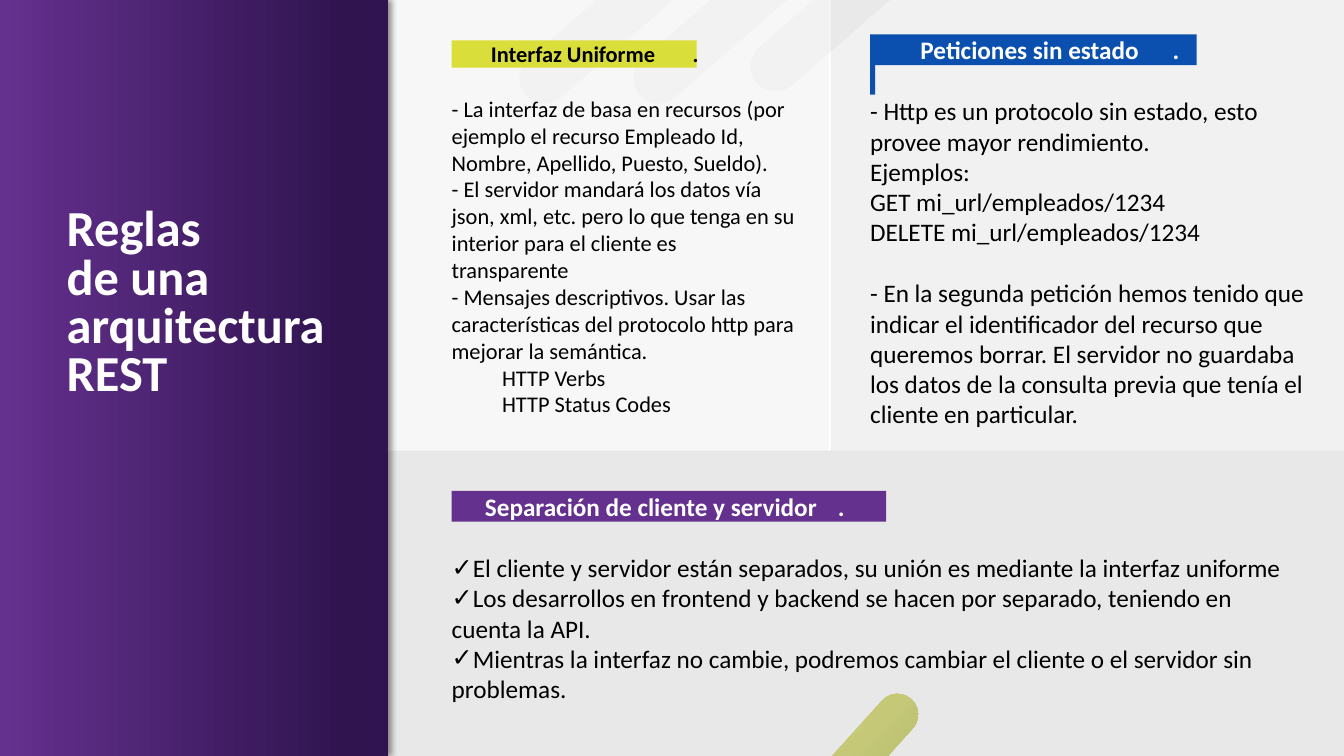
from lxml.etree import SubElement
from pptx import Presentation
from pptx.dml.color import RGBColor
from pptx.enum.shapes import MSO_SHAPE as SHAPE
from pptx.enum.text import MSO_ANCHOR as ANCHOR, MSO_AUTO_SIZE as AUTO_SIZE, PP_ALIGN as ALIGN
from pptx.oxml import parse_xml
from pptx.oxml.ns import nsdecls, qn
from pptx.util import Inches, Pt

WIDTH, HEIGHT = 13.33, 7.5
SIDE, SPLIT, FLOOR = 3.85, 8.24, 4.47  # sidebar edge, column edge, row edge
FONT = "Calibri"
COLORS = {
    "black": "000000", "white": "FFFFFF", "pill": "D9D9D9", "pale": "F2F2F2",
    "grey": "D0CECE", "yellow": "DADE3A", "blue": "0B50AE", "purple": "65318F",
    "night": "301450", "lime": "D9DE3A", "olive": "86971B",
}


def add_block(slide, box, color, kind=SHAPE.RECTANGLE, alpha=100, rotation=0):
    block = slide.shapes.add_shape(kind, *map(Inches, box))
    block.shadow.inherit = False
    block.line.fill.background()
    block.fill.solid()
    block.fill.fore_color.rgb = RGBColor.from_string(COLORS[color])
    block.rotation = rotation
    if alpha < 100:
        rgb = block._element.spPr.find(".//" + qn("a:srgbClr"))
        SubElement(rgb, qn("a:alpha"), val=str(alpha * 1000))
    return block


def set_gradient(block, stops, direction):
    """Replace the solid fill; stops are (percent, colour name)."""
    marks = "".join(
        f'<a:gs pos="{percent * 1000}"><a:srgbClr val="{COLORS[color]}"/></a:gs>'
        for percent, color in stops)
    solid = block._element.spPr.find(qn("a:solidFill"))
    solid.getparent().replace(solid, parse_xml(
        f'<a:gradFill {nsdecls("a")} rotWithShape="1"><a:gsLst>{marks}</a:gsLst>'
        f"{direction}</a:gradFill>"))


def set_frame(holder, anchor=ANCHOR.TOP, margins=(0.1, 0.05, 0.1, 0.05), wrap=True):
    frame = holder.text_frame
    frame.word_wrap = wrap
    frame.auto_size = AUTO_SIZE.NONE
    frame.vertical_anchor = anchor
    (frame.margin_left, frame.margin_top,
     frame.margin_right, frame.margin_bottom) = map(Inches, margins)
    return frame


def write(frame, text, size=18, color="black", bold=False, spacing=1.0,
          before=0, indent=0, bullet=None, tab=None):
    """Fill the first paragraph, or add one when it is already used."""
    first = frame.paragraphs[0]
    paragraph = frame.add_paragraph() if first.runs else first
    paragraph.alignment = ALIGN.LEFT
    paragraph.line_spacing = spacing
    paragraph.space_before, paragraph.space_after = Pt(before), Pt(0)
    props = paragraph._p.get_or_add_pPr()
    props.set("marL", str(Inches(indent)))
    props.set("indent", "0")
    if bullet:
        SubElement(props, qn("a:buFont"), typeface="Arial")
        SubElement(props, qn("a:buChar"), char=bullet)
    else:
        SubElement(props, qn("a:buNone"))
    if tab:
        tabs = SubElement(props, qn("a:tabLst"))
        SubElement(tabs, qn("a:tab"), pos=str(Inches(tab)), algn="l")
    run = paragraph.add_run()
    run.text = text
    run.font.name, run.font.size, run.font.bold = FONT, Pt(size), bold
    run.font.color.rgb = RGBColor.from_string(COLORS[color])


def place(slide, holder, box):
    """Move a placeholder to its box, in front of the panels."""
    holder.left, holder.top, holder.width, holder.height = map(Inches, box)
    slide.shapes._spTree.append(holder._element)


def draw_backdrop(slide):
    for left, top in ((6.65, -2.76), (7.78, -2.76), (8.94, -2.88)):
        pill = add_block(slide, (left, top, 0.5, 4.47), "pill",
                         SHAPE.ROUNDED_RECTANGLE, alpha=28, rotation=229)
        pill.adjustments[0] = 0.5
    accent = add_block(slide, (8.01, 6.62, 0.41, 2.46), "lime",
                       SHAPE.ROUNDED_RECTANGLE, rotation=42)
    accent.adjustments[0] = 0.5
    set_gradient(accent, ((0, "olive"), (86, "lime")),
                 '<a:path path="circle"><a:fillToRect l="100000" t="100000"/></a:path>')
    add_block(slide, (SIDE, 0, SPLIT - SIDE - 0.02, FLOOR), "pale", alpha=60)
    add_block(slide, (SPLIT, 0, WIDTH - SPLIT, FLOOR), "grey", alpha=27)
    add_block(slide, (SIDE, FLOOR, WIDTH - SIDE, HEIGHT - FLOOR), "grey", alpha=46)


def draw_sidebar(slide, box):
    sidebar = add_block(slide, box, "purple")
    set_gradient(sidebar, ((12, "night"), (100, "purple")),
                 '<a:lin ang="10800000" scaled="0"/>')
    effects = sidebar._element.spPr.find(qn("a:effectLst"))
    shadow = SubElement(effects, qn("a:outerShdw"), blurRad=str(Pt(4)),
                        dist=str(Pt(3)), dir="0", algn="l", rotWithShape="0")
    tint = SubElement(shadow, qn("a:srgbClr"), val=COLORS["black"])
    SubElement(tint, qn("a:alpha"), val="41000")

    left, top, width, _ = box
    title = slide.shapes.title
    place(slide, title, (left + 0.56, top + 1.91, width - 0.8, 2.23))
    frame = set_frame(title, ANCHOR.MIDDLE)
    for line in ("Reglas", "de una", "arquitectura", "REST"):
        write(frame, line, size=36, color="white", bold=True, spacing=0.8)


def draw_rule(slide, box, holder, heading, band, rules, size=18, right=0.1):
    """Heading band, then a list of (text, format) two lines below it."""
    left, top, width, height = box
    color, ink, band_width, indent, dot = band
    line = size * 1.22 / 72
    label = add_block(slide, (left + 0.1, top + 0.05, band_width, line), color)
    write(set_frame(label, ANCHOR.MIDDLE, (0, 0, 0, 0), wrap=False),
          f"{heading}\t.", size=size, color=ink, bold=True, indent=indent, tab=dot)
    body_top = 0.05 + 2 * line
    place(slide, holder, (left, top + body_top, width, height - body_top))
    frame = set_frame(holder, margins=(0.1, 0, right, 0))
    for text, style in rules:
        write(frame, text, size=size, **style)


def build_rules_slide(deck):
    slide = deck.slides.add_slide(deck.slide_layouts[4])
    holders = {holder.placeholder_format.idx: holder for holder in slide.placeholders}
    spare = holders[4]._element
    spare.getparent().remove(spare)
    draw_backdrop(slide)
    draw_sidebar(slide, (0, 0, SIDE, HEIGHT))
    draw_rule(
        slide, (4.38, 0.35, 3.62, 3.87), holders[1], "Interfaz Uniforme",
        ("yellow", "black", 2.43, 0.39, 2.37), (
            ("- La interfaz de basa en recursos (por ejemplo el recurso Empleado Id, "
             "Nombre, Apellido, Puesto, Sueldo).", {}),
            ("- El servidor mandará los datos vía json, xml, etc. pero lo que tenga en "
             "su interior para el cliente es transparente", {}),
            ("- Mensajes descriptivos. Usar las características del protocolo http para "
             "mejorar la semántica.", {}),
            ("HTTP Verbs", {"indent": 0.5}),
            ("HTTP Status Codes", {"indent": 0.5}),
        ), size=16)
    add_block(slide, (8.63, 0.64, 0.05, 0.3), "blue")
    draw_rule(
        slide, (8.53, 0.29, 4.42, 4.18), holders[3], "Peticiones sin estado",
        ("blue", "white", 3.24, 0.5, 3.06), (
            ("- Http es un protocolo sin estado, esto provee mayor rendimiento.", {}),
            ("Ejemplos:", {}),
            ("GET mi_url/empleados/1234", {}),
            ("DELETE mi_url/empleados/1234", {}),
            ("- En la segunda petición hemos tenido que indicar el identificador del "
             "recurso que queremos borrar. El servidor no guardaba los datos de la "
             "consulta previa que tenía el cliente en particular.", {"before": 22}),
        ), right=0)
    check = {"bullet": "✓"}
    draw_rule(
        slide, (4.38, 4.82, 8.56, 2.22), holders[2], "Separación de cliente y servidor",
        ("purple", "white", 4.31, 0.33, 3.86), (
            ("El cliente y servidor están separados, su unión es mediante la interfaz "
             "uniforme", check),
            ("Los desarrollos en frontend y backend se hacen por separado, teniendo en "
             "cuenta la API.", check),
            ("Mientras la interfaz no cambie, podremos cambiar el cliente o el servidor "
             "sin problemas.", check),
        ))


def main():
    deck = Presentation()
    deck.slide_width, deck.slide_height = Inches(WIDTH), Inches(HEIGHT)
    build_rules_slide(deck)
    deck.save("out.pptx")


if __name__ == "__main__":
    main()
